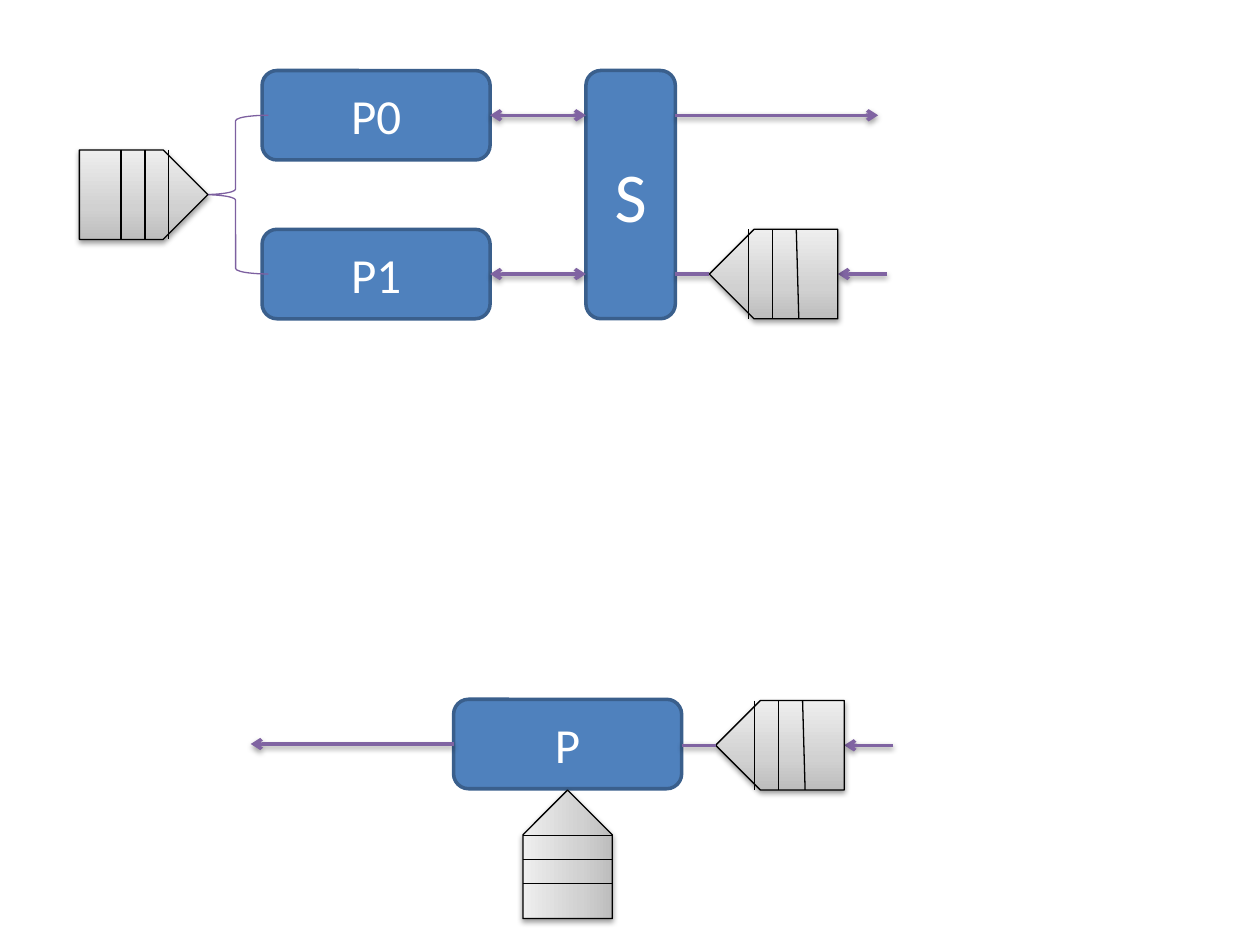
from dataclasses import dataclass

from lxml import etree
from pptx import Presentation
from pptx.dml.color import RGBColor
from pptx.enum.shapes import MSO_CONNECTOR, MSO_SHAPE
from pptx.enum.text import MSO_ANCHOR, PP_ALIGN
from pptx.oxml import parse_xml
from pptx.oxml.ns import nsdecls, qn
from pptx.util import Inches, Pt

ROUNDED = MSO_SHAPE.ROUNDED_RECTANGLE
PENTAGON = MSO_SHAPE.PENTAGON
BRACE = MSO_SHAPE.LEFT_BRACE
STRAIGHT = MSO_CONNECTOR.STRAIGHT
MIDDLE = MSO_ANCHOR.MIDDLE
CENTER = PP_ALIGN.CENTER


@dataclass(frozen=True)
class Theme:
    """Colours, type sizes and line weights of the diagram."""
    font: str = "Calibri"
    block: str = "4F81BD"
    block_edge: str = "3A5F8C"
    text: str = "FFFFFF"
    flow: str = "8064A2"
    brace: str = "7D60A0"
    ink: str = "000000"
    shades: tuple = ((0, "BDBDBD"), (35, "D1D1D1"), (100, "EEEEEE"))
    label: int = 28
    large_label: int = 40
    thick: float = 2
    thin: float = 0.75


THEME = Theme()
COLUMNS = 10
ROWS = 7.5
CELL = Inches(1)
BLOCK_WIDTH = 1.81
BLOCK_HEIGHT = 0.71
BLOCK_MIDDLE = BLOCK_HEIGHT / 2
QUEUE_LENGTH = 1.02
SLOT = 0.19


def grid(*values):
    """Turn grid units into slide lengths."""
    return [round(value * CELL) for value in values]


def set_line(item, color, weight):
    """Set the colour and weight of an outline or connector."""
    item.line.color.rgb = RGBColor.from_string(color)
    item.line.width = Pt(weight)


def set_shadow(item, visible):
    """Give an item a soft shadow below it, or none."""
    properties = item._element.spPr
    effects = etree.SubElement(properties, qn("a:effectLst"))
    if visible:
        shadow = etree.SubElement(effects, qn("a:outerShdw"), blurRad="40000",
                                  dist="20000", dir="5400000", rotWithShape="0")
        color = etree.SubElement(shadow, qn("a:srgbClr"), val=THEME.ink)
        etree.SubElement(color, qn("a:alpha"), val="38000")


def add_link(page, start, end, color=THEME.flow, weight=THEME.thick,
             ends=(), shadow=True):
    """Draw a straight link, with open arrowheads at the named ends."""
    link = page.shapes.add_connector(STRAIGHT, *grid(*start, *end))
    set_line(link, color, weight)
    for name in ends:
        etree.SubElement(link.line._get_or_add_ln(), qn(f"a:{name}"), type="arrow")
    set_shadow(link, shadow)


def add_block(page, box, label, size=THEME.label):
    """Draw a labelled rounded block."""
    block = page.shapes.add_shape(ROUNDED, *grid(*box))
    block.fill.solid()
    block.fill.fore_color.rgb = RGBColor.from_string(THEME.block)
    set_line(block, THEME.block_edge, THEME.thick)
    set_shadow(block, False)
    frame = block.text_frame
    frame.text = label
    frame.vertical_anchor = MIDDLE
    para = frame.paragraphs[0]
    para.alignment = CENTER
    span = para.runs[0]
    span.font.name = THEME.font
    span.font.size = Pt(size)
    span.font.color.rgb = RGBColor.from_string(THEME.text)


def add_queue(page, left, top, heading, first_slot, slant=0):
    """Draw a queue that points right, left or up, with three dividers."""
    upright = heading == "up"
    shift = (QUEUE_LENGTH - BLOCK_HEIGHT) / 2 if upright else 0
    body = page.shapes.add_shape(
        PENTAGON, *grid(left - shift, top + shift, QUEUE_LENGTH, BLOCK_HEIGHT))
    body.rotation = 270 if upright else 0
    if heading == "left":
        body._element.spPr.find(qn("a:xfrm")).set("flipH", "1")
    stops = "".join(f'<a:gs pos="{place * 1000}"><a:srgbClr val="{color}"/></a:gs>'
                    for place, color in THEME.shades)
    body._element.spPr.insert(2, parse_xml(
        f'<a:gradFill {nsdecls("a")} rotWithShape="1"><a:gsLst>{stops}</a:gsLst>'
        '<a:lin ang="16200000" scaled="0"/></a:gradFill>'))
    set_line(body, THEME.ink, THEME.thin)
    set_shadow(body, True)
    for index in range(3):
        offset = first_slot + index * SLOT
        along = offset if heading == "right" else QUEUE_LENGTH - offset
        lean = slant if index == 0 else 0
        if upright:
            start, end = (left, top + along), (left + BLOCK_HEIGHT, top + along)
        else:
            start = left + along, top
            end = left + along + lean, top + BLOCK_HEIGHT
        add_link(page, start, end, THEME.ink, THEME.thin, shadow=False)


def add_input(page, left, top):
    """Draw an inbound arrow, its queue and the link out of the queue."""
    middle = top + BLOCK_MIDDLE
    tail = left + QUEUE_LENGTH
    add_link(page, (tail + 0.39, middle), (tail, middle), ends=("tailEnd",))
    add_queue(page, left, top, "left", 0.33, slant=0.02)
    add_link(page, (left, middle), (left - 0.27, middle))


def add_switched_pair(page, left, top):
    """Draw two processors that share a queue and a switch."""
    row_gap = 1.26
    block_left = left + 1.45
    block_right = block_left + BLOCK_WIDTH
    switch_left = left + 4.02
    switch_right = switch_left + BLOCK_HEIGHT
    middle = top + BLOCK_MIDDLE
    add_block(page, (switch_left, top, BLOCK_HEIGHT, row_gap + BLOCK_HEIGHT),
              "S", THEME.large_label)
    for index, label in enumerate(("P0", "P1")):
        row = top + index * row_gap
        add_block(page, (block_left, row, BLOCK_WIDTH, BLOCK_HEIGHT), label)
        add_link(page, (block_right, row + BLOCK_MIDDLE),
                 (switch_left, row + BLOCK_MIDDLE), ends=("headEnd", "tailEnd"))
    add_link(page, (switch_right, middle), (switch_right + 1.61, middle),
             ends=("tailEnd",))
    add_input(page, switch_right + 0.27, top + row_gap)
    brace = page.shapes.add_shape(BRACE, *grid(left + 0.98, middle, 0.52, row_gap))
    brace.fill.background()
    set_line(brace, THEME.brace, THEME.thin)
    set_shadow(brace, False)
    add_queue(page, left, top + row_gap / 2, "right", 0.33)


def add_single(page, left, top):
    """Draw one processor with an input, an output and a queue below."""
    block_left = left + 1.61
    block_right = block_left + BLOCK_WIDTH
    middle = top + BLOCK_MIDDLE
    add_block(page, (block_left, top, BLOCK_WIDTH, BLOCK_HEIGHT), "P")
    add_link(page, (block_left, middle), (left, middle), ends=("tailEnd",))
    add_input(page, block_right + 0.27, top + 0.01)
    add_queue(page, block_left + (BLOCK_WIDTH - BLOCK_HEIGHT) / 2,
              top + BLOCK_HEIGHT + 0.01, "up", 0.28)


def main():
    """Build and save the slide."""
    deck = Presentation()
    deck.slide_width, deck.slide_height = grid(COLUMNS, ROWS)
    page = deck.slides.add_slide(deck.slide_layouts[6])
    add_switched_pair(page, 0.63, 0.56)
    add_single(page, 1.99, 5.55)
    deck.save("out.pptx")


main()
